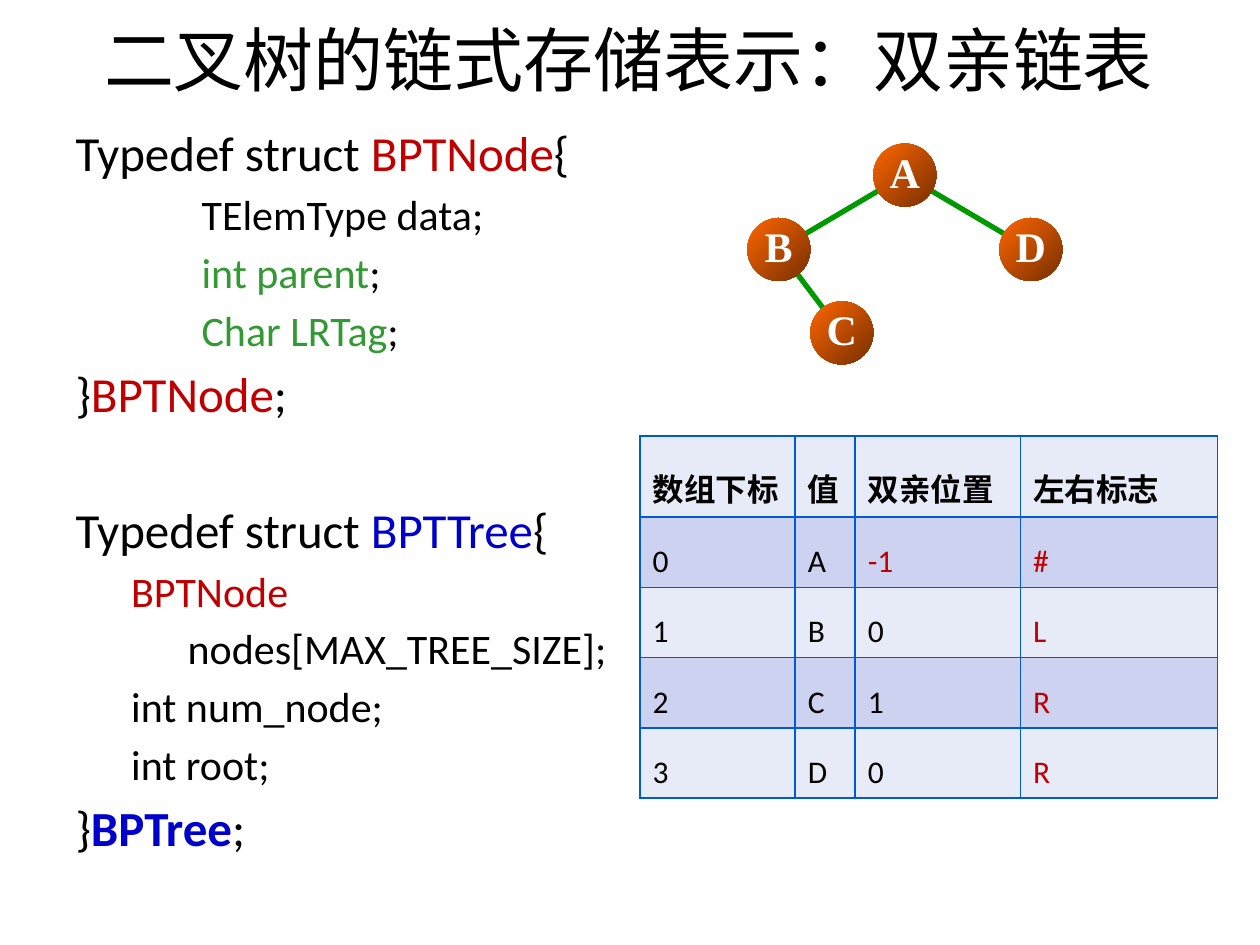
import pptx
import pptx.dml.color
import pptx.enum.shapes
import pptx.enum.text
import pptx.oxml
import pptx.util
from lxml import etree

Cm = pptx.util.Cm
Pt = pptx.util.Pt
RGBColor = pptx.dml.color.RGBColor
qn = pptx.oxml.ns.qn

BLACK = RGBColor(0x00, 0x00, 0x00)
WHITE = RGBColor(0xFF, 0xFF, 0xFF)
RED = RGBColor(0xC0, 0x00, 0x00)
GREEN = RGBColor(0x33, 0x99, 0x33)
BLUE = RGBColor(0x00, 0x00, 0xCC)
EDGE = RGBColor(0x00, 0x99, 0x00)
NODE_LIGHT = RGBColor(0xFF, 0x66, 0x00)
NODE_DARK = RGBColor(0x76, 0x2F, 0x00)
BORDER = RGBColor(0x00, 0x5B, 0xD3)
BANDS = [RGBColor(0xE7, 0xEA, 0xF7), RGBColor(0xCC, 0xD2, 0xEF)]

# Each line: indent in cm, size, space before, runs of (text, colour)
FIELD, MEMBER, WRAPPED = 2.54, 1.12, 2.26
CODE = [
    (0, 28, 0, [("Typedef struct ", BLACK), ("BPTNode", RED), ("{", BLACK)]),
    (FIELD, 24, 4.2, [("TElemType data;", BLACK)]),
    (FIELD, 24, 4.2, [("int parent", GREEN), (";", BLACK)]),
    (FIELD, 24, 4.2, [("Char LRTag", GREEN), (";", BLACK)]),
    (0, 28, 5, [("}", BLACK), ("BPTNode", RED), (";", BLACK)]),
    (0, 28, 44, [("Typedef struct ", BLACK), ("BPTTree", BLUE), ("{", BLACK)]),
    (MEMBER, 24, 4.2, [("BPTNode", RED)]),
    (WRAPPED, 24, 4.2, [("nodes[MAX_TREE_SIZE];", BLACK)]),
    (MEMBER, 24, 4.2, [("int num_node;", BLACK)]),
    (MEMBER, 24, 4.2, [("int root;", BLACK)]),
    (0, 28, 5, [("}", BLACK), ("BPTree", BLUE, True), (";", BLACK)]),
]

NODES = {"A": (18.24, 3.53), "B": (15.7, 5.03), "C": (16.97, 6.71), "D": (20.78, 5.03)}
EDGES = ["BC", "AD", "AB"]

ROWS = [
    ["数组下标", "值", "双亲位置", "左右标志"],
    ["0", "A", "-1", "#"],
    ["1", "B", "0", "L"],
    ["2", "C", "1", "R"],
    ["3", "D", "0", "R"],
]
COLUMN_WIDTHS = [3.13, 1.21, 3.33, 3.97]


class SlideBuilder:
    font = "Calibri"
    node_font = "Times New Roman"
    node_size = 1.27

    def __init__(self, slide):
        self.slide = slide

    def run(self, p, text, size, color, bold=False, font=None):
        r = p.add_run()
        r.text = text
        r.font.name = font or self.font
        r.font.size = Pt(size)
        r.font.bold = bold
        r.font.color.rgb = color

    def place(self, sp, left, top, width, height):
        sp.left, sp.top, sp.width, sp.height = map(Cm, (left, top, width, height))
        sp.text_frame.auto_size = pptx.enum.text.MSO_AUTO_SIZE.NONE
        return sp.text_frame

    def title(self, text, *box):
        tf = self.place(self.slide.shapes.title, *box)
        self.run(tf.paragraphs[0], text, 40, BLACK)

    def code(self, lines, *box):
        tf = self.place(self.slide.placeholders[1], *box)
        for i, (indent, size, before, runs) in enumerate(lines):
            p = tf.add_paragraph() if i else tf.paragraphs[0]
            p.space_before = Pt(before)
            pPr = p._p.get_or_add_pPr()
            pPr.set("marL", str(Cm(indent)))
            pPr.set("indent", "0")
            etree.SubElement(pPr, qn("a:buNone"))
            for text, color, *bold in runs:
                self.run(p, text, size, color, bool(bold))

    def edge(self, start, end):
        line = self.slide.shapes.add_connector(
            pptx.enum.shapes.MSO_CONNECTOR.STRAIGHT, *map(Cm, start + end))
        line.line.color.rgb = EDGE
        line.line.width = Pt(3)
        etree.SubElement(line._element.spPr, qn("a:effectLst"))

    def node(self, label, x, y):
        """Draw a labelled circle centred on (x, y)."""
        d = self.node_size
        sp = self.slide.shapes.add_shape(
            pptx.enum.shapes.MSO_SHAPE.OVAL, Cm(x - d / 2), Cm(y - d / 2), Cm(d), Cm(d))
        sp.shadow.inherit = False
        sp.line.fill.background()
        sp.fill.gradient()
        sp.fill.gradient_angle = 315
        for stop, color in zip(sp.fill.gradient_stops, (NODE_LIGHT, NODE_DARK)):
            stop.color.rgb = color
        tf = sp.text_frame
        tf.word_wrap = False
        tf.margin_left = tf.margin_right = tf.margin_top = 0
        tf.margin_bottom = Cm(0.15)
        tf.vertical_anchor = pptx.enum.text.MSO_ANCHOR.MIDDLE
        p = tf.paragraphs[0]
        p.alignment = pptx.enum.text.PP_ALIGN.CENTER
        self.run(p, label, 24, WHITE, True, self.node_font)

    def border(self, cell):
        tcPr = cell._tc.get_or_add_tcPr()
        for i, side in enumerate(("lnL", "lnR", "lnT", "lnB")):
            ln = etree.Element(qn("a:" + side), w=str(Pt(1)))
            fill = etree.SubElement(ln, qn("a:solidFill"))
            etree.SubElement(fill, qn("a:srgbClr"), val=str(BORDER))
            tcPr.insert(i, ln)

    def table(self, rows, widths, left, top, row_height):
        table = self.slide.shapes.add_table(
            len(rows), len(widths), Cm(left), Cm(top),
            Cm(sum(widths)), Cm(row_height * len(rows))).table
        for column, width in zip(table.columns, widths):
            column.width = Cm(width)
        for i, row in enumerate(rows):
            for j, text in enumerate(row):
                cell = table.cell(i, j)
                cell.fill.solid()
                cell.fill.fore_color.rgb = BANDS[i % 2]
                self.border(cell)
                p = cell.text_frame.paragraphs[0]
                p.line_spacing = 1.5
                marked = text == "-1" or (i > 0 and j == 3)
                self.run(p, text, 18, RED if marked else BLACK, i == 0)


def main():
    prs = pptx.Presentation()
    prs.slide_width, prs.slide_height = Cm(25.4), Cm(19.05)
    s = SlideBuilder(prs.slides.add_slide(prs.slide_layouts[1]))
    s.title("二叉树的链式存储表示：双亲链表", 1.24, 0, 22.86, 2.34)
    s.code(CODE, 1.27, 2.34, 11.23, 16.41)
    s.table(ROWS, COLUMN_WIDTHS, 12.9, 8.79, 1.04)
    for parent, child in EDGES:
        s.edge(NODES[parent], NODES[child])
    for label, center in NODES.items():
        s.node(label, *center)
    prs.save("out.pptx")


if __name__ == "__main__":
    main()
